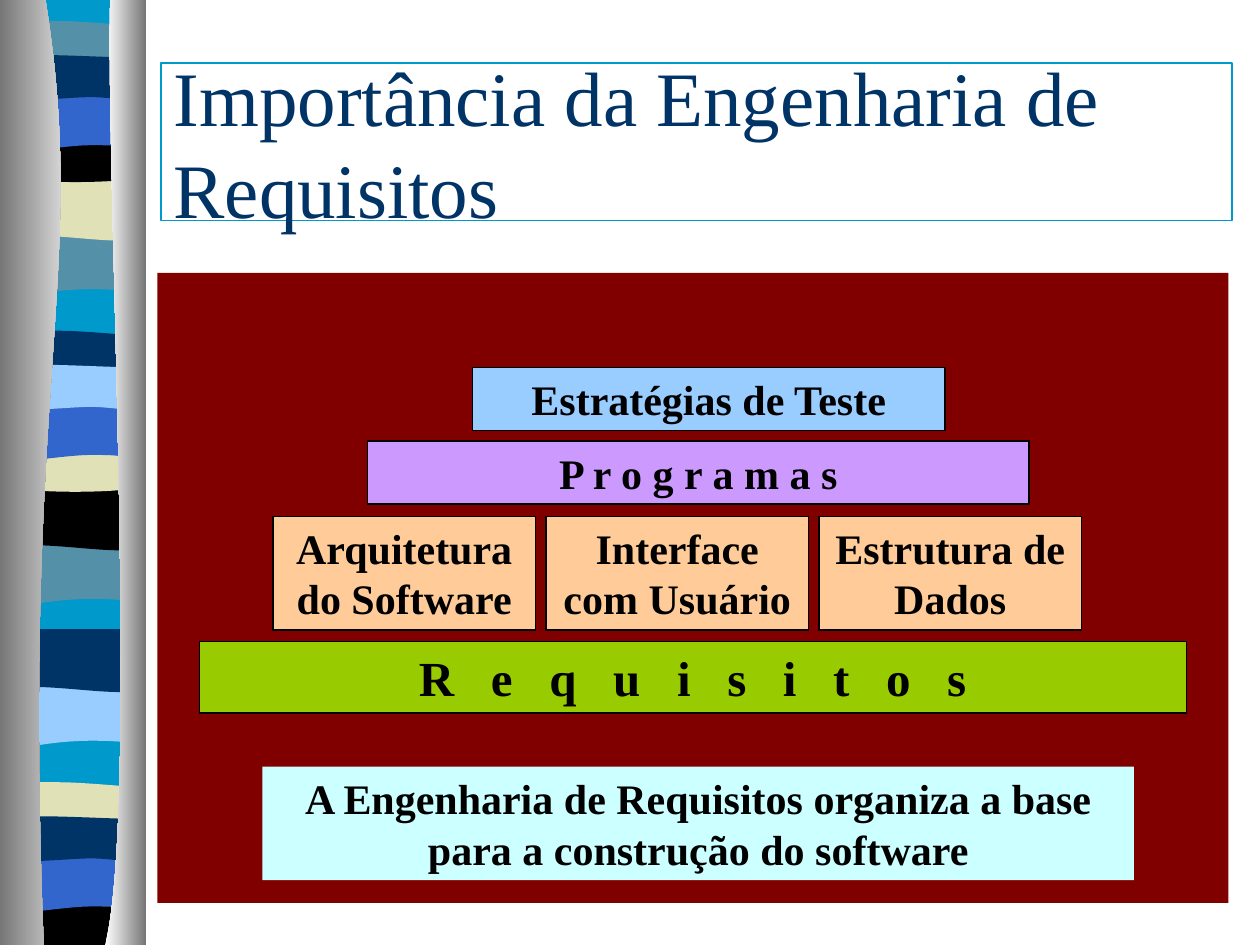
from lxml.etree import SubElement
from pptx import Presentation
from pptx.dml.color import RGBColor
from pptx.enum.shapes import MSO_SHAPE
from pptx.enum.text import MSO_ANCHOR, MSO_AUTO_SIZE, PP_ALIGN
from pptx.oxml.ns import qn
from pptx.util import Pt

FONT = "Times New Roman"
BLACK = RGBColor(0x00, 0x00, 0x00)
WHITE = RGBColor(0xFF, 0xFF, 0xFF)
GREY = RGBColor(0x76, 0x76, 0x76)
NAVY = RGBColor(0x00, 0x33, 0x66)
CYAN = RGBColor(0x00, 0x99, 0xCC)
STEEL = RGBColor(0x54, 0x90, 0xA8)
CREAM = RGBColor(0xE1, 0xE1, 0xB7)
BLUE = RGBColor(0x33, 0x66, 0xCC)
SKY = RGBColor(0x99, 0xCC, 0xFF)
MAROON = RGBColor(0x80, 0x00, 0x00)
GREEN = RGBColor(0x99, 0xCC, 0x00)
PEACH = RGBColor(0xFF, 0xCC, 0x99)
LILAC = RGBColor(0xCC, 0x99, 0xFF)
ICE = RGBColor(0xCC, 0xFF, 0xFF)

RIBBON_LEFT, RIBBON_WIDTH, PAGE_HEIGHT = 4, 78, 540

# An outline lists points; a triple of points is a Bezier curve from the last one.
BANDS = {
    "falling": (133, [(78, 0), (78, 34), ((24, 28), (13, 40), (0, 34)), (0, 0)]),
    "rising": (101.5, [(78, 0), (78, 34), ((65, 40), (24, 30), (0, 34)), (0, 0)]),
    "ribbon": (11.5, [(78, 3.5), (78, 21), ((65, 24), (13, 24), (0, 21)), (0, 3.5),
                      ((4.5, 0), (17, 0.5), (30, 0.5)),
                      ((43, 0.5), (68, 3), (78, 3.5))]),
    "cup": (78, [(78, 0), (78, 23), ((65, 27), (13, 27), (0, 23)), (0, 0),
                 ((48, 3.5), (61, 0), (78, 0))]),
    "base": (78, [(78, 0), (78, 27), (0, 27), (0, 0),
                  ((48, 3.5), (61, 0), (78, 0))]),
    "arch": (53, [(78, 0), (78, 34), ((66, 30), (61, 30), (48, 30)),
                  ((35, 30), (12, 34), (0, 34)), (0, 0)]),
    "pennant": (29.5, [(78, 3.5), (78, 26), ((73, 29.5), (61, 26), (48, 26)),
                       ((35, 26), (8, 29.5), (0, 26)), (0, 3.5),
                       ((11, 0), (53, 3.5), (78, 3.5))]),
}

# Vertical shift of each repeat, and the band colours from back to front.
REPEATS = [
    (0, {"falling": STEEL, "rising": CREAM, "ribbon": STEEL,
         "cup": BLACK, "arch": BLUE, "pennant": NAVY}),
    (177, {"falling": STEEL, "rising": BLACK, "ribbon": NAVY,
           "cup": CREAM, "arch": BLUE, "pennant": SKY}),
    (258, {"falling": SKY, "rising": NAVY}),
    (435, {"ribbon": CREAM, "base": BLACK, "arch": BLUE, "pennant": NAVY}),
]

LEFT_POST = [(26, 0), ((51, 156), (12, 213), (25, 540)), (0, 540), (0, 0)]
RIGHT_POST = [(63, 0), ((60, 90), (80, 465), (60, 540)), (83.5, 540), (83.5, 0)]


def is_curve(item):
    return len(item) == 3


def bend_curves(shape, outline):
    """Merge the three straight pieces drawn for each curve into one Bezier piece."""
    pieces = iter(list(shape._element.iter(qn("a:lnTo"))))
    for item in outline[1:]:
        piece = next(pieces)
        if is_curve(item):
            parent = piece.getparent()
            curve = SubElement(parent, qn("a:cubicBezTo"))
            parent.replace(piece, curve)
            curve.append(piece[0])
            for _ in range(2):
                control = next(pieces)
                curve.append(control[0])
                parent.remove(control)


def add_outline(page, outline, left=0, top=0):
    corners = []
    for item in outline:
        corners.extend(item if is_curve(item) else [item])
    points = [(Pt(left + x), Pt(top + y)) for x, y in corners]
    builder = page.shapes.build_freeform(*points[0])
    builder.add_line_segments(points[1:], close=True)
    shape = builder.convert_to_shape()
    bend_curves(shape, outline)
    shape.shadow.inherit = False
    shape.line.fill.background()
    return shape


def add_post(page, outline, left_color, right_color):
    fill = add_outline(page, outline).fill
    fill.gradient()
    fill.gradient_angle = 0
    for stop, color in zip(fill.gradient_stops, (left_color, right_color)):
        stop.color.rgb = color


def add_block(page, left, top, width, height, color, line=None):
    block = page.shapes.add_shape(MSO_SHAPE.RECTANGLE,
                                  Pt(left), Pt(top), Pt(width), Pt(height))
    block.shadow.inherit = False
    block.fill.solid()
    block.fill.fore_color.rgb = color
    if line is None:
        block.line.fill.background()
    else:
        block.line.color.rgb = line
        block.line.width = Pt(0.75)
    return block


def add_label(block, text, size=24, tracking=0):
    """Write centred bold text; tracking is extra letter spacing in points."""
    frame = block.text_frame
    frame.word_wrap = True
    frame.vertical_anchor = MSO_ANCHOR.TOP
    paragraph = frame.paragraphs[0]
    paragraph.alignment = PP_ALIGN.CENTER
    paragraph.font.name = FONT
    paragraph.font.size = Pt(size)
    paragraph.font.bold = True
    paragraph.font.color.rgb = BLACK
    span = paragraph.add_run()
    span.text = text
    if tracking:
        span.font._element.set("spc", str(tracking * 100))


def add_ribbon(page):
    add_block(page, RIBBON_LEFT, 0, RIBBON_WIDTH, PAGE_HEIGHT, CYAN)
    for shift, colors in REPEATS:
        for name, color in colors.items():
            top, outline = BANDS[name]
            band = add_outline(page, outline, RIBBON_LEFT, top + shift)
            band.fill.solid()
            band.fill.fore_color.rgb = color
    add_post(page, LEFT_POST, GREY, WHITE)
    add_post(page, RIGHT_POST, WHITE, GREY)


def set_title(page, text):
    title = page.shapes.title
    title.left, title.top, title.width, title.height = Pt(92), Pt(36), Pt(612), Pt(90)
    title.line.color.rgb = CYAN
    title.line.width = Pt(0.75)
    frame = title.text_frame
    frame.text = text
    frame.word_wrap = True
    frame.auto_size = MSO_AUTO_SIZE.NONE
    frame.vertical_anchor = MSO_ANCHOR.MIDDLE
    paragraph = frame.paragraphs[0]
    paragraph.alignment = PP_ALIGN.LEFT
    paragraph.font.name = FONT
    paragraph.font.size = Pt(44)
    paragraph.font.color.rgb = NAVY


def add_pyramid(page):
    add_block(page, 90, 156, 612, 360, MAROON)
    base = add_block(page, 114, 366.5, 564, 41, GREEN, BLACK)
    add_label(base, "R e q u i s i t o s", size=28, tracking=7)
    parts = ("Arquitetura do Software", "Interface com Usuário", "Estrutura de Dados")
    for column, text in enumerate(parts):
        add_label(add_block(page, 156 + 156 * column, 295, 150, 65, PEACH, BLACK), text)
    add_label(add_block(page, 210, 252, 378, 36, LILAC, BLACK), "P r o g r a m a s")
    add_label(add_block(page, 270, 210, 270, 36, SKY, BLACK), "Estratégias de Teste")
    add_label(add_block(page, 150, 438, 498, 65, ICE),
              "A Engenharia de Requisitos organiza a base para a construção do software")


def main():
    deck = Presentation()
    deck.slide_width, deck.slide_height = Pt(720), Pt(PAGE_HEIGHT)
    page = deck.slides.add_slide(deck.slide_layouts[5])
    add_ribbon(page)
    set_title(page, "Importância da Engenharia de Requisitos")
    add_pyramid(page)
    deck.save("out.pptx")


if __name__ == "__main__":
    main()
